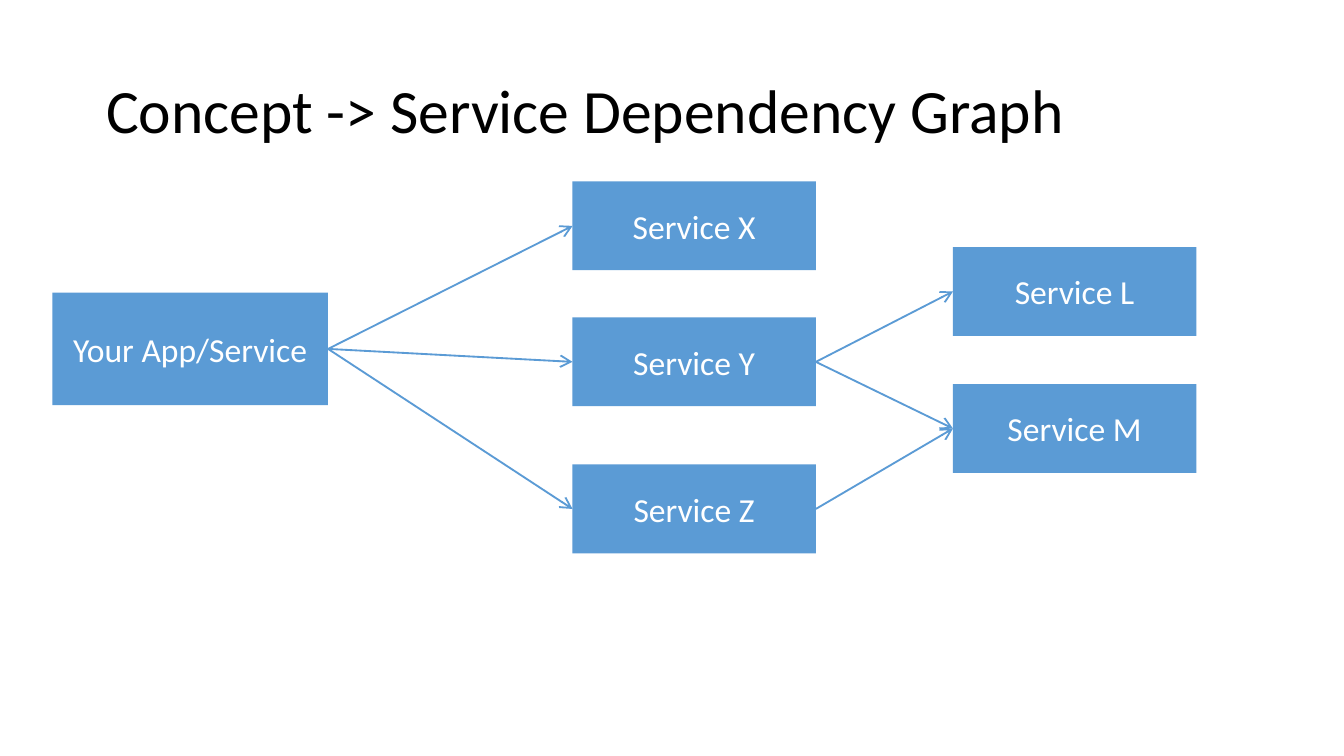
"""Build the service dependency graph slide."""
from dataclasses import dataclass

from lxml import etree
from pptx import Presentation
from pptx.dml.color import RGBColor
from pptx.enum.shapes import MSO_CONNECTOR, MSO_SHAPE
from pptx.enum.text import MSO_ANCHOR, MSO_AUTO_SIZE, PP_ALIGN
from pptx.oxml.ns import qn
from pptx.shapes.autoshape import Shape
from pptx.slide import Slide
from pptx.util import Cm, Pt

RECT = MSO_SHAPE.RECTANGLE
STRAIGHT = MSO_CONNECTOR.STRAIGHT
MIDDLE = MSO_ANCHOR.MIDDLE
NO_FIT = MSO_AUTO_SIZE.NONE
LEFT, CENTER = PP_ALIGN.LEFT, PP_ALIGN.CENTER
LEFT_SITE, RIGHT_SITE = 1, 3
FONT = "Calibri"
COLORS = {"node": "5B9BD5", "title": "000000", "label": "FFFFFF"}
COL_2, COL_3 = 10.82, 18.01


@dataclass
class Node:
    label: str
    x: float
    y: float
    w: float = 4.6
    h: float = 1.68


NODES = [
    Node("Your App/Service", 0.99, 5.53, 5.21, 2.13),
    Node("Service X", COL_2, 3.43),
    Node("Service Y", COL_2, 6),
    Node("Service Z", COL_2, 8.78),
    Node("Service L", COL_3, 4.67),
    Node("Service M", COL_3, 7.26),
]
EDGES = [
    ("Your App/Service", "Service X"),
    ("Your App/Service", "Service Y"),
    ("Your App/Service", "Service Z"),
    ("Service Y", "Service L"),
    ("Service Y", "Service M"),
    ("Service Z", "Service M"),
]


def color(name: str) -> RGBColor:
    return RGBColor.from_string(COLORS[name])


def write(s: Shape, text: str, size: float, name: str, align: PP_ALIGN) -> None:
    tf = s.text_frame
    tf.word_wrap = True
    tf.auto_size = NO_FIT
    tf.vertical_anchor = MIDDLE
    p = tf.paragraphs[0]
    p.alignment = align
    r = p.add_run()
    r.text = text
    r.font.name = FONT
    r.font.size = Pt(size)
    r.font.color.rgb = color(name)


def add_title(slide: Slide, text: str) -> None:
    s = slide.shapes.title
    s.left, s.top, s.width, s.height = Cm(1.75), Cm(0.76), Cm(21.9), Cm(2.77)
    write(s, text, 33, "title", LEFT)
    s.text_frame.paragraphs[0].line_spacing = 0.9


def add_node(slide: Slide, node: Node) -> Shape:
    s = slide.shapes.add_shape(RECT, Cm(node.x), Cm(node.y), Cm(node.w), Cm(node.h))
    s.shadow.inherit = False
    s.fill.solid()
    s.fill.fore_color.rgb = color("node")
    s.line.fill.background()
    write(s, node.label, 18, "label", CENTER)
    return s


def add_edge(slide: Slide, start: Shape, end: Shape) -> None:
    c = slide.shapes.add_connector(STRAIGHT, 0, 0, 0, 0)
    c.begin_connect(start, RIGHT_SITE)
    c.end_connect(end, LEFT_SITE)
    c.line.color.rgb = color("node")
    c.line.width = Pt(1)
    sp_pr = c._element.spPr
    etree.SubElement(sp_pr.find(qn("a:ln")), qn("a:tailEnd"), type="arrow")
    etree.SubElement(sp_pr, qn("a:effectLst"))


def main() -> None:
    prs = Presentation()
    prs.slide_width, prs.slide_height = Cm(25.4), Cm(14.29)
    slide = prs.slides.add_slide(prs.slide_layouts[5])
    add_title(slide, "Concept -> Service Dependency Graph")
    shapes = {node.label: add_node(slide, node) for node in NODES}
    for start, end in EDGES:
        add_edge(slide, shapes[start], shapes[end])
    prs.save("out.pptx")


if __name__ == "__main__":
    main()
